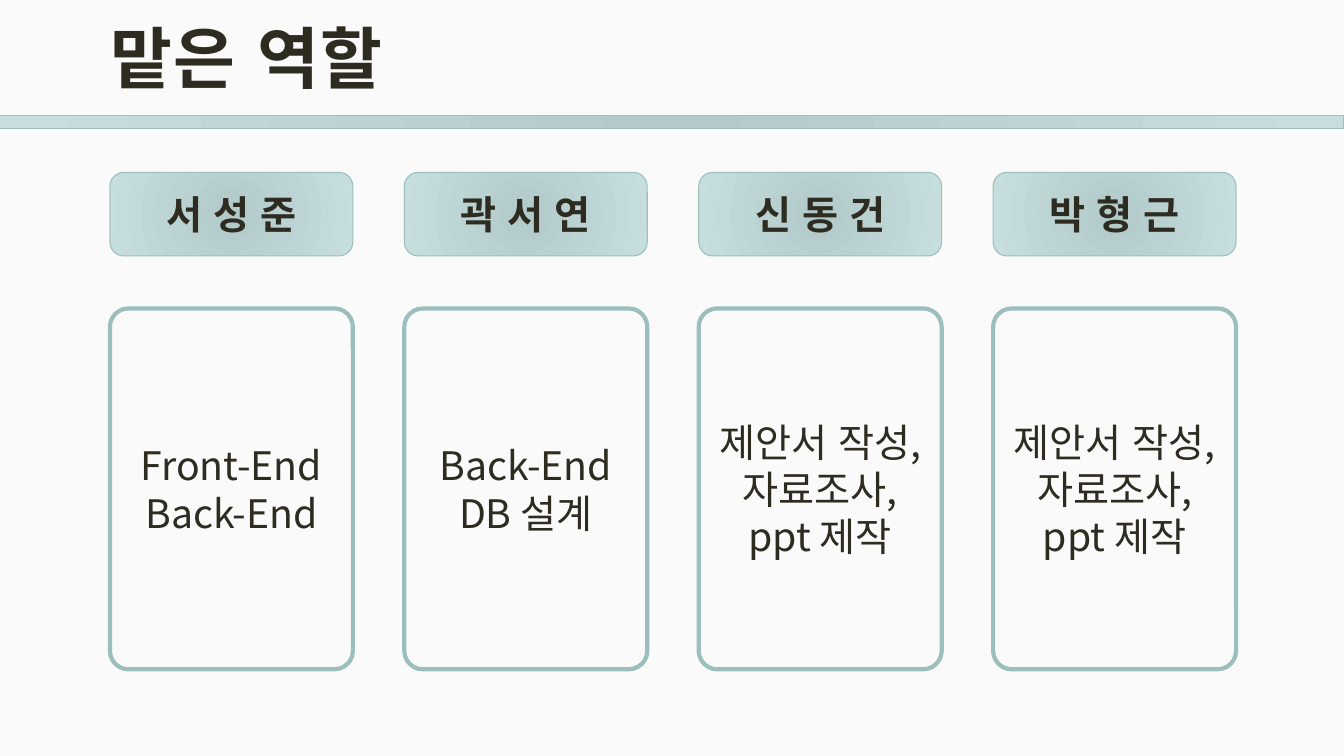
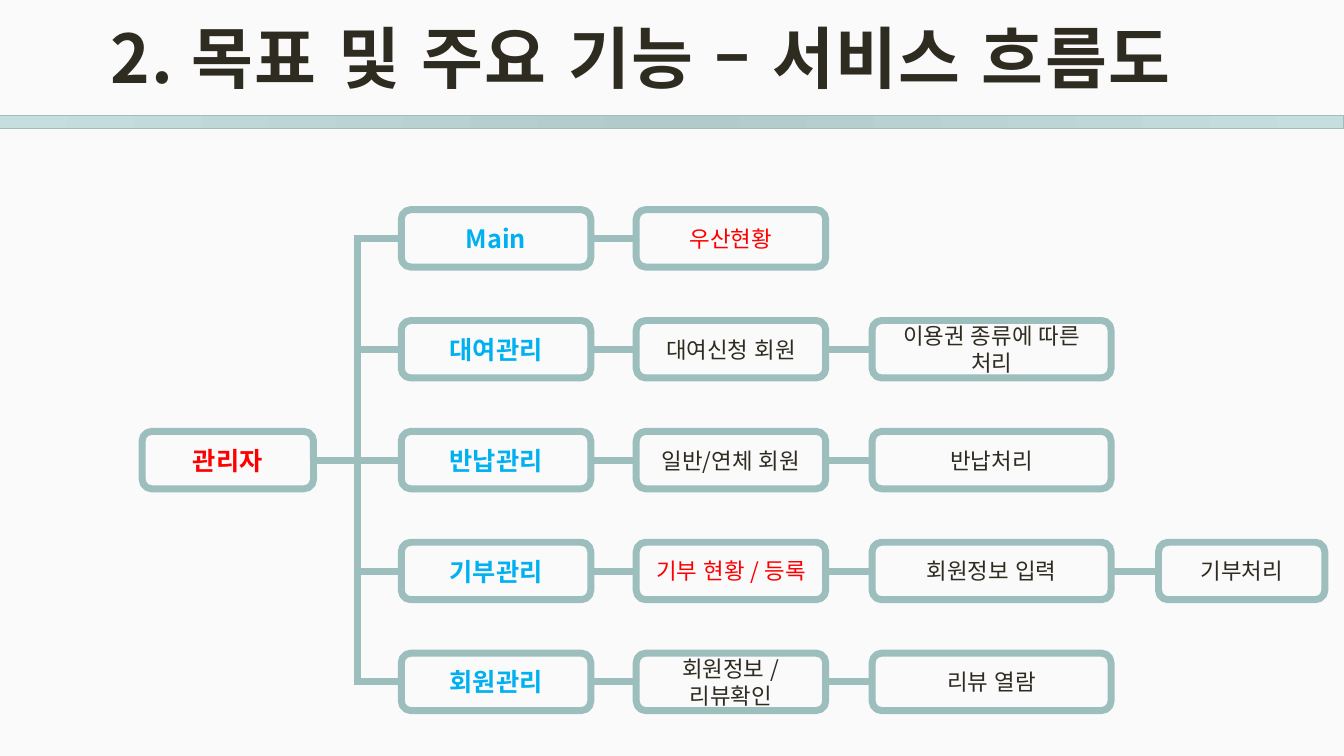
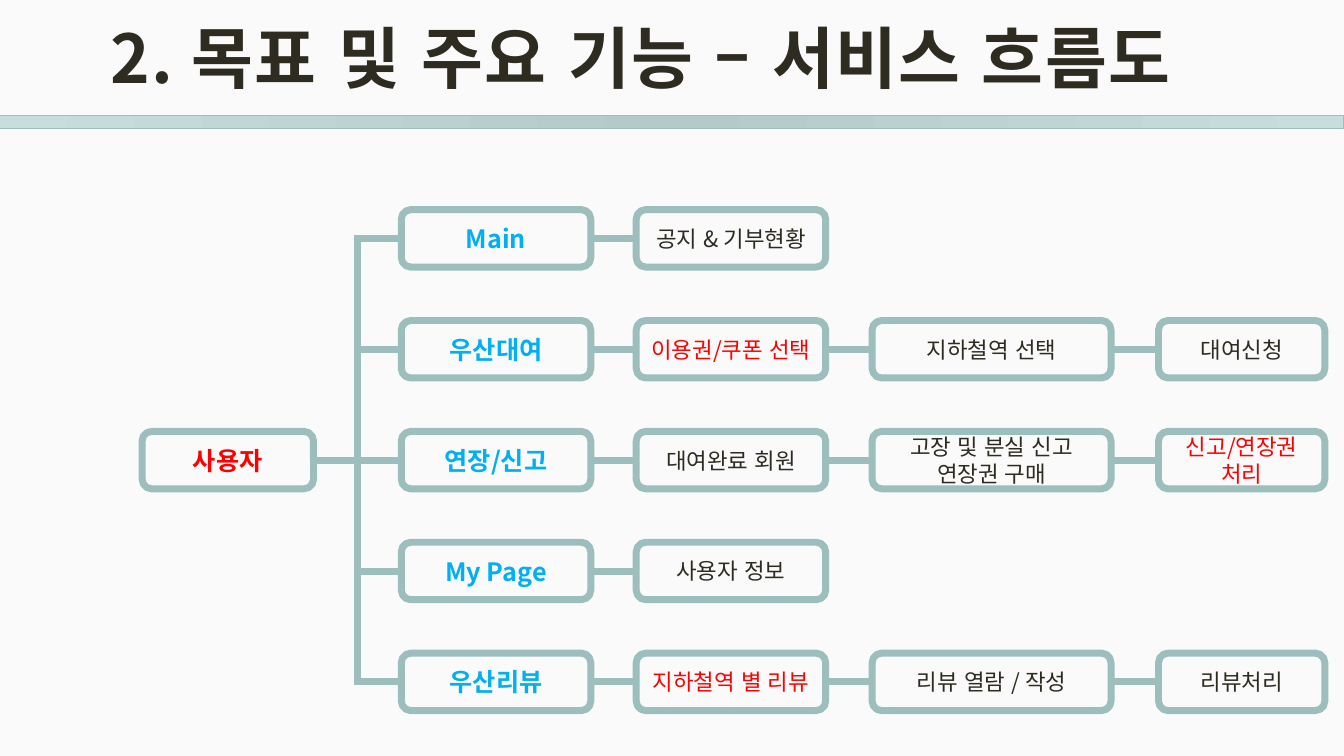
from lxml import etree
from pptx import Presentation
from pptx.dml.color import RGBColor
from pptx.enum.lang import MSO_LANGUAGE_ID
from pptx.enum.shapes import MSO_CONNECTOR, MSO_SHAPE
from pptx.enum.text import MSO_ANCHOR, PP_ALIGN
from pptx.oxml import parse_xml
from pptx.oxml.ns import nsdecls, qn
from pptx.util import Inches, Pt

RECT, ROUND = MSO_SHAPE.RECTANGLE, MSO_SHAPE.ROUNDED_RECTANGLE
STRAIGHT = MSO_CONNECTOR.STRAIGHT
MIDDLE = MSO_ANCHOR.MIDDLE
LEFT, CENTER = PP_ALIGN.LEFT, PP_ALIGN.CENTER
KOREAN = MSO_LANGUAGE_ID.KOREAN

W, H = 13.33, 7.5
FONT = "Noto Sans CJK KR"
PAPER, INK, TEAL = "FAFAFA", "2E2B21", "9CBEBD"
GRADIENT = ("B2CBCA", "C6DEDE")
RED, BLUE = "FF0000", "00B0F0"

# Text formats
TITLE = {"size": Pt(48), "bold": True}
NAME = {"size": Pt(28), "bold": True}
DUTY = {"size": Pt(28)}
HEAD = {"size": Pt(18), "bold": True}
STEP = {"size": Pt(16)}

# Cards of the roles slide
CARD_X, CARD_W, CARD_PITCH = 1.09, 2.41, 2.92

# Grid of the flow slides
ROOT_X, ROOT_W, ROOT_ROW = 1.41, 1.7, 2
TRUNK_X = 3.55
COLUMNS = [(3.98, 1.88), (6.31, 1.88), (8.65, 2.37), (11.49, 1.65)]
ROW_Y, ROW_PITCH, BOX_H = 2.08, 1.1, 0.57
FLOW_LINE = 5

ROLES = [
    ("서 성 준", ["Front-End", "Back-End"]),
    ("곽 서 연", ["Back-End", "DB 설계"]),
    ("신 동 건", ["제안서 작성,", "자료조사,", "ppt 제작"]),
    ("박 형 근", ["제안서 작성,", "자료조사,", "ppt 제작"]),
]
FLOW_TITLE = "2. 목표 및 주요 기능 – 서비스 흐름도"
ADMIN_FLOW = [
    ["Main", "우산현황"],
    ["대여관리", "대여신청 회원", "이용권 종류에 따른 처리"],
    ["반납관리", "일반/연체 회원", "반납처리"],
    ["기부관리", "기부 현황 / 등록", "회원정보 입력", "기부처리"],
    ["회원관리", "회원정보 / 리뷰확인", "리뷰 열람"],
]
USER_FLOW = [
    ["Main", "공지 & 기부현황"],
    ["우산대여", "이용권/쿠폰 선택", "지하철역 선택", "대여신청"],
    ["연장/신고", "대여완료 회원", "고장 및 분실 신고\n연장권 구매", "신고/연장권 처리"],
    ["My Page", "사용자 정보"],
    ["우산리뷰", "지하철역 별 리뷰", "리뷰 열람 / 작성", "리뷰처리"],
]
RED_STEPS = {"우산현황", "기부 현황 / 등록", "이용권/쿠폰 선택",
             "신고/연장권 처리", "지하철역 별 리뷰"}


def rgb(value):
    return RGBColor.from_string(value)


def write(sp, lines, fmt, color=INK, align=CENTER):
    tf = sp.text_frame
    tf.word_wrap = True
    tf.vertical_anchor = MIDDLE
    for i, line in enumerate(lines):
        p = tf.add_paragraph() if i else tf.paragraphs[0]
        p.alignment = align
        r = p.add_run()
        r.text = line
        style = {"name": FONT, "language_id": KOREAN, **fmt}
        for key, value in style.items():
            setattr(r.font, key, value)
        r.font.color.rgb = rgb(color)
        latin = r.font._element.find(qn("a:latin"))
        ea = etree.Element(qn("a:ea"), typeface=FONT)
        latin.addnext(ea)
    return tf


def fill_radial(sp):
    """Fill with the shared gradient, running outward from the centre."""
    sp.fill.gradient()
    for stop, color in zip(sp.fill.gradient_stops, GRADIENT):
        stop.color.rgb = rgb(color)
    grad = sp._element.spPr.find(qn("a:gradFill"))
    grad.replace(grad.find(qn("a:lin")), parse_xml(
        f'<a:path {nsdecls("a")} path="circle">'
        '<a:fillToRect l="50000" t="50000" r="50000" b="50000"/></a:path>'))


def add_box(s, x, y, w, h, line=0.75, kind=ROUND, radial=False):
    sp = s.shapes.add_shape(kind, Inches(x), Inches(y), Inches(w), Inches(h))
    sp.shadow.inherit = False
    sp.line.color.rgb = rgb(TEAL)
    sp.line.width = Pt(line)
    if radial:
        fill_radial(sp)
    else:
        sp.fill.background()
    return sp


def add_line(s, x1, y1, x2, y2):
    line = s.shapes.add_connector(
        STRAIGHT, Inches(x1), Inches(y1), Inches(x2), Inches(y2))
    line.line.color.rgb = rgb(TEAL)
    line.line.width = Pt(FLOW_LINE)
    etree.SubElement(line._element.spPr, qn("a:effectLst"))
    return line


def link(s, left, right):
    """Join the right side of one box to the left side of the next."""
    line = add_line(s, 0, 0, 0, 0)
    line.begin_connect(left, 3)
    line.end_connect(right, 1)


def add_slide(prs, title):
    """Add a slide with the shared band and title."""
    s = prs.slides.add_slide(prs.slide_layouts[6])
    add_box(s, 0, 1.15, W, 0.13, kind=RECT, radial=True)
    box = s.shapes.add_textbox(0, 0, Inches(W), Inches(1.27))
    tf = write(box, [title], TITLE, align=LEFT)
    tf.margin_left = Inches(1.1)
    p = tf.paragraphs[0]
    p.line_spacing = 0.8
    p.runs[0].font._element.set("spc", "100")
    return s


def add_roles(prs):
    s = add_slide(prs, "맡은 역할")
    for i, (name, duties) in enumerate(ROLES):
        x = CARD_X + i * CARD_PITCH
        card = add_box(s, x, 3.06, CARD_W, 3.58, line=3)
        card.adjustments[0] = 0.076
        write(card, duties, DUTY)
        write(add_box(s, x, 1.71, CARD_W, 0.83, radial=True), [name], NAME)


def add_step(s, x, w, row, text, fmt, color):
    sp = add_box(s, x, ROW_Y + row * ROW_PITCH, w, BOX_H, line=FLOW_LINE)
    write(sp, text.split("\n"), fmt, color)
    return sp


def add_flow(prs, root_text, rows):
    s = add_slide(prs, FLOW_TITLE)
    root = add_step(s, ROOT_X, ROOT_W, ROOT_ROW, root_text, HEAD, RED)
    centers = [ROW_Y + i * ROW_PITCH + BOX_H / 2 for i in range(len(rows))]
    cap = FLOW_LINE / 72 / 2
    add_line(s, TRUNK_X, centers[0] - cap, TRUNK_X, centers[-1] + cap)
    for i, texts in enumerate(rows):
        previous = None
        for (x, w), text in zip(COLUMNS, texts):
            if previous is None:
                fmt, color = HEAD, BLUE
            else:
                fmt, color = STEP, RED if text in RED_STEPS else INK
            sp = add_step(s, x, w, i, text, fmt, color)
            if previous is not None:
                link(s, previous, sp)
            elif i == ROOT_ROW:
                link(s, root, sp)
            else:
                add_line(s, TRUNK_X, centers[i], x, centers[i])
            previous = sp


def main():
    prs = Presentation()
    prs.slide_width, prs.slide_height = Inches(W), Inches(H)
    fill = prs.slide_master.background.fill
    fill.solid()
    fill.fore_color.rgb = rgb(PAPER)
    add_roles(prs)
    add_flow(prs, "관리자", ADMIN_FLOW)
    add_flow(prs, "사용자", USER_FLOW)
    prs.save("out.pptx")


if __name__ == "__main__":
    main()
